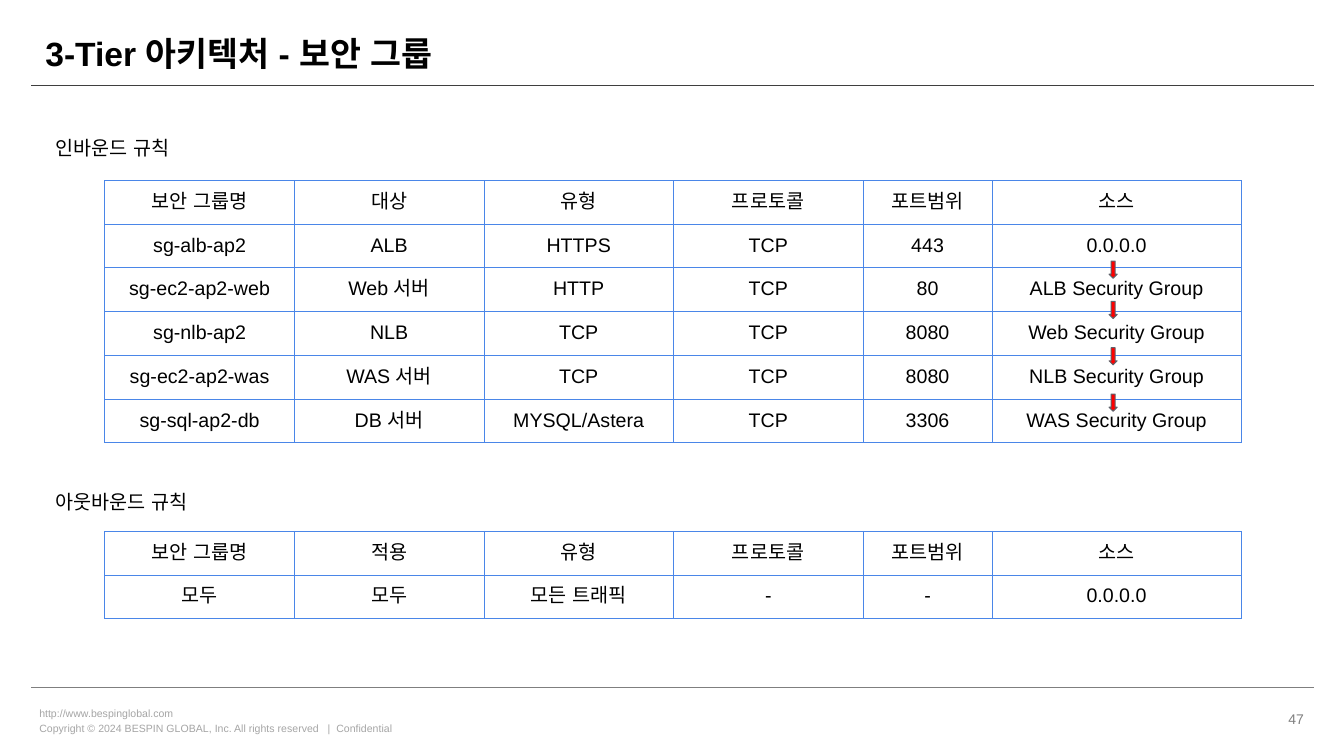
from lxml import etree
from pptx import Presentation
from pptx.dml.color import RGBColor
from pptx.enum.shapes import MSO_CONNECTOR, MSO_SHAPE
from pptx.enum.text import MSO_ANCHOR, PP_ALIGN
from pptx.oxml.ns import qn
from pptx.util import Inches, Pt

LEFT, CENTER, RIGHT = PP_ALIGN.LEFT, PP_ALIGN.CENTER, PP_ALIGN.RIGHT
TOP, MIDDLE = MSO_ANCHOR.TOP, MSO_ANCHOR.MIDDLE
STRAIGHT = MSO_CONNECTOR.STRAIGHT
DOWN_ARROW = MSO_SHAPE.DOWN_ARROW

COLORS = {
    "text": "000000",
    "footer": "A5A5A5",
    "muted": "7F7F7F",
    "header_rule": "3F3F3F",
    "border": "4A86E8",
    "arrow": "FF0000",
    "arrow_edge": "5E626B",
}
COLUMN_WIDTHS = [1.88, 1.88, 1.88, 1.88, 1.28, 2.47]
ROW_HEIGHT = 0.43
TABLE_LEFT = 1.04
LABEL_LEFT = 0.45

INBOUND_RULES = [
    ["보안 그룹명", "대상", "유형", "프로토콜", "포트범위", "소스"],
    ["sg-alb-ap2", "ALB", "HTTPS", "TCP", "443", "0.0.0.0"],
    ["sg-ec2-ap2-web", "Web 서버", "HTTP", "TCP", "80", "ALB Security Group"],
    ["sg-nlb-ap2", "NLB", "TCP", "TCP", "8080", "Web Security Group"],
    ["sg-ec2-ap2-was", "WAS 서버", "TCP", "TCP", "8080", "NLB Security Group"],
    ["sg-sql-ap2-db", "DB 서버", "MYSQL/Astera", "TCP", "3306", "WAS Security Group"],
]
OUTBOUND_RULES = [
    ["보안 그룹명", "적용", "유형", "프로토콜", "포트범위", "소스"],
    ["모두", "모두", "모든 트래픽", "-", "-", "0.0.0.0"],
]


class SlideBuilder:
    font_name = "Arial"
    line_width = Pt(0.75)

    def __init__(self, slide):
        self.slide = slide

    def color(self, key):
        return RGBColor.from_string(COLORS[key])

    def add_words(self, paragraph, words, size=14, color="text", bold=False, align=LEFT):
        paragraph.alignment = align
        run = paragraph.add_run()
        run.text = words
        run.font.name = self.font_name
        run.font.size = Pt(size)
        run.font.bold = bold
        run.font.color.rgb = self.color(color)
        east_asian = etree.Element(qn("a:ea"), typeface=self.font_name)
        run.font._element.find(qn("a:latin")).addnext(east_asian)

    def text(self, box, words, insets=(0.1, 0.1, 0.1, 0.1), anchor=TOP,
             spacing=None, **style):
        frame = self.slide.shapes.add_textbox(*map(Inches, box)).text_frame
        frame.word_wrap = True
        frame.vertical_anchor = anchor
        (frame.margin_left, frame.margin_top,
         frame.margin_right, frame.margin_bottom) = map(Inches, insets)
        paragraph = frame.paragraphs[0]
        if spacing:
            paragraph.line_spacing = spacing
        self.add_words(paragraph, words, **style)

    def rule(self, y, color):
        line = self.slide.shapes.add_connector(
            STRAIGHT, Inches(0.31), Inches(y), Inches(13.03), Inches(y))
        line.line.color.rgb = self.color(color)
        line.line.width = self.line_width
        etree.SubElement(line._element.spPr, qn("a:effectLst"))

    def border(self, cell):
        properties = cell._tc.get_or_add_tcPr()
        for index, side in enumerate(("a:lnL", "a:lnR", "a:lnT", "a:lnB")):
            edge = etree.Element(qn(side), w=str(int(self.line_width)))
            fill = etree.SubElement(edge, qn("a:solidFill"))
            etree.SubElement(fill, qn("a:srgbClr"), val=COLORS["border"])
            properties.insert(index, edge)

    def table(self, top, rows):
        table = self.slide.shapes.add_table(
            len(rows), len(COLUMN_WIDTHS), Inches(TABLE_LEFT), Inches(top),
            Inches(sum(COLUMN_WIDTHS)), Inches(ROW_HEIGHT * len(rows))).table
        table.first_row = False
        table.horz_banding = False
        for column, width in zip(table.columns, COLUMN_WIDTHS):
            column.width = Inches(width)
        for row, values in zip(table.rows, rows):
            row.height = Inches(ROW_HEIGHT)
            for cell, value in zip(row.cells, values):
                cell.margin_left = cell.margin_right = Inches(0.1)
                cell.margin_top = cell.margin_bottom = Inches(0.1)
                cell.fill.background()
                self.border(cell)
                self.add_words(cell.text_frame.paragraphs[0], value, align=CENTER)

    def down_arrow(self, top):
        arrow = self.slide.shapes.add_shape(
            DOWN_ARROW, Inches(11), Inches(top), Inches(0.08), Inches(0.17))
        arrow.shadow.inherit = False
        arrow.fill.solid()
        arrow.fill.fore_color.rgb = self.color("arrow")
        arrow.line.color.rgb = self.color("arrow_edge")
        arrow.line.width = self.line_width


def main():
    presentation = Presentation()
    presentation.slide_width = Inches(13.33)
    presentation.slide_height = Inches(7.5)
    builder = SlideBuilder(presentation.slides.add_slide(presentation.slide_layouts[6]))

    footer = dict(insets=(0.06, 0.06, 0.06, 0.06), anchor=MIDDLE, size=7.5, color="footer")
    builder.text((0.33, 7.11, 3.91, 0.24),
                 "Copyright © 2024 BESPIN GLOBAL, Inc. All rights reserved   |  Confidential",
                 **footer)
    builder.text((0.33, 6.95, 3.7, 0.25), "http://www.bespinglobal.com", **footer)
    builder.rule(6.82, "muted")
    builder.rule(0.85, "header_rule")
    builder.text((12.57, 6.93, 0.46, 0.4), "47", insets=(0.1, 0.05, 0.1, 0.05),
                 anchor=MIDDLE, size=10, color="muted", align=RIGHT)
    builder.text((LABEL_LEFT, 0.27, 11.81, 0.56), "3-Tier 아키텍처 - 보안 그룹",
                 insets=(0, 0.05, 0.1, 0.05), anchor=MIDDLE, spacing=0.9,
                 size=24, bold=True)

    builder.text((LABEL_LEFT, 1.25, 4.62, 0.44), "인바운드 규칙")
    builder.table(1.79, INBOUND_RULES)
    builder.text((LABEL_LEFT, 4.76, 4.62, 0.44), "아웃바운드 규칙")
    builder.table(5.27, OUTBOUND_RULES)
    for arrow_top in (2.59, 2.99, 3.45, 3.91):
        builder.down_arrow(arrow_top)

    presentation.save("out.pptx")


if __name__ == "__main__":
    main()
